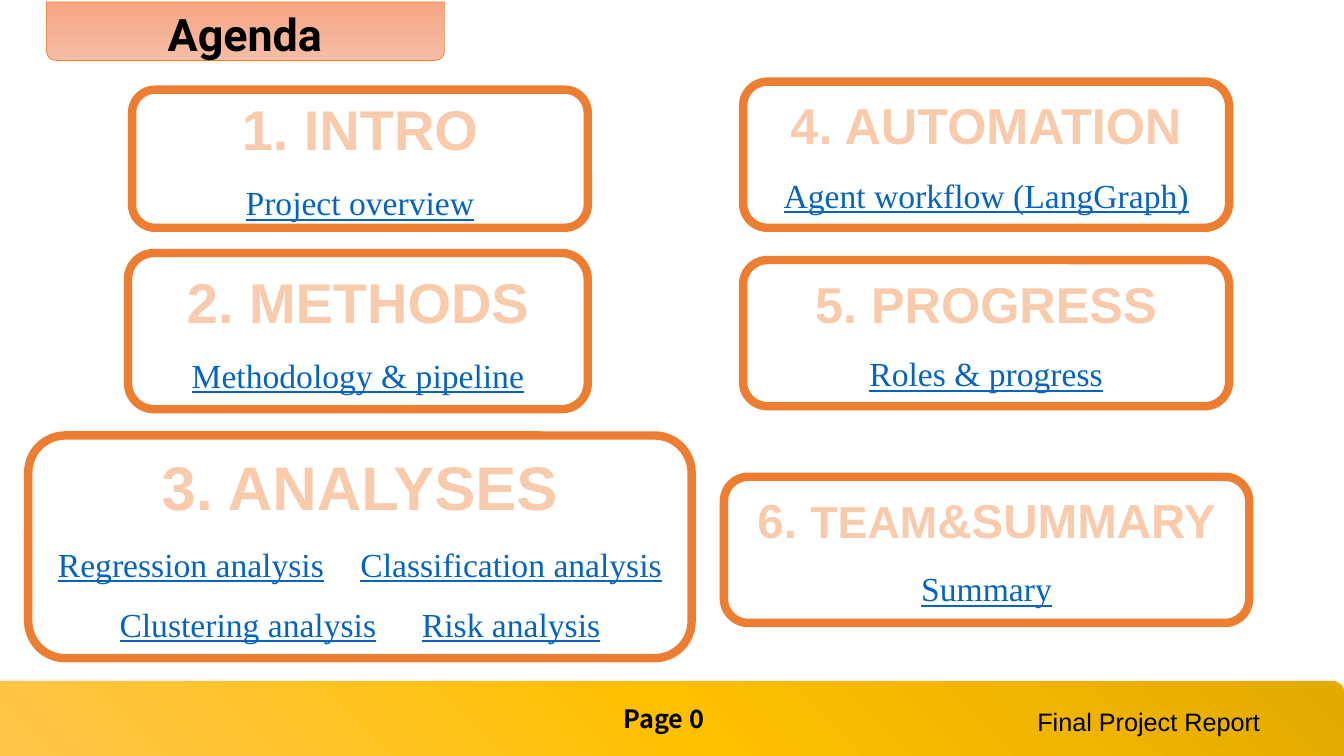
from copy import deepcopy

from lxml.etree import SubElement
from pptx import Presentation
from pptx.dml.color import RGBColor
from pptx.enum.shapes import MSO_SHAPE as SHAPE
from pptx.enum.text import MSO_ANCHOR as ANCHOR, MSO_AUTO_SIZE as AUTO, PP_ALIGN as ALIGN
from pptx.oxml import parse_xml
from pptx.oxml.ns import nsdecls, qn
from pptx.util import Pt

PX = 9144  # 100 px to the inch

THEME = {
    "black": RGBColor.from_string("000000"),
    "white": RGBColor.from_string("FFFFFF"),
    "orange": RGBColor.from_string("ED7D31"),
    "peach": RGBColor.from_string("F8CBAD"),
    "link": RGBColor.from_string("0563C1"),
    "footer": ("FFC64B", "FFC000", "E3AB00"),
    "tab": ("F7BDA5", "F5B196", "F8A582"),
    "title_size": 32,
    "footer_size": 18,
    "link_size": 24,
}


def fill_gradient(sp, colors, angle):
    """Fill with three evenly spaced stops; the angle runs counter-clockwise."""
    sp.fill.gradient()
    sp.fill.gradient_angle = angle
    stops = sp._element.spPr.find(".//" + qn("a:gsLst"))
    stops.append(deepcopy(stops[-1]))
    for i, (stop, color) in enumerate(zip(sp.fill.gradient_stops, colors)):
        stop.position = i / 2
        stop.color.rgb = RGBColor.from_string(color)


def style_run(r, font, size, color, bold=False):
    r.font.name = font
    r.font.size = Pt(size)
    r.font.color.rgb = color
    r.font.bold = bold


prs = Presentation()
prs.slide_width, prs.slide_height = 1333 * PX, 750 * PX
s = prs.slides.add_slide(prs.slide_layouts[6])

# Footer band and title tab
footer = s.shapes.add_shape(SHAPE.ROUND_1_RECTANGLE, 0, 676 * PX, 1333 * PX, 74 * PX)
fill_gradient(footer, THEME["footer"], 45)
footer.line.fill.background()
footer._element.spPr.append(parse_xml(
    f'<a:effectLst {nsdecls("a")}>'
    f'<a:outerShdw blurRad="{Pt(4.5)}" dist="{Pt(1.5)}" dir="5400000" algn="ctr" rotWithShape="0">'
    '<a:srgbClr val="000000"><a:alpha val="63000"/></a:srgbClr>'
    '</a:outerShdw></a:effectLst>'))

tab = s.shapes.add_shape(SHAPE.ROUND_2_SAME_RECTANGLE, 46 * PX, 2 * PX, 395 * PX, 58 * PX)
tab.rotation = 180
tab.shadow.inherit = False
fill_gradient(tab, THEME["tab"], 270)
tab.line.color.rgb = THEME["orange"]
tab.line.width = Pt(0.5)

labels = [
    ("Final Project Report", (1019, 696, 242, 40), "Arial", THEME["footer_size"], False, ALIGN.LEFT),
    ("Agenda", (70, 2, 346, 64), "Roboto", THEME["title_size"], True, ALIGN.CENTER),
    ("Page 0", (322, 693, 673, 40), "Noto Sans CJK SC", THEME["footer_size"], True, ALIGN.CENTER),
]
for text, box, font, size, bold, align in labels:
    tf = s.shapes.add_textbox(*(v * PX for v in box)).text_frame
    tf.word_wrap = True
    tf.auto_size = AUTO.SHAPE_TO_FIT_TEXT
    tf.text = text
    p = tf.paragraphs[0]
    p.alignment = align
    style_run(p.runs[0], font, size, THEME["black"], bold)

# Agenda cards: box, heading runs with sizes, rows of links
cards = [
    ((131, 89, 452, 137), [("1. INTRO", 40)], [["Project overview"]]),
    ((127, 251, 456, 155), [("2. METHODS", 40)], [["Methodology & pipeline"]]),
    ((28, 432, 658, 221), [("3. ANALYSES", 44)],
     [["Regression analysis", "Classification analysis"],
      ["Clustering analysis", "Risk analysis"]]),
    ((737, 81, 482, 145), [("4. AUTOMATION", 36)], [["Agent workflow (LangGraph)"]]),
    ((737, 258, 482, 145), [("5. PROGRESS", 36)], [["Roles & progress"]]),
    ((718, 473, 521, 145), [("6. ", 34), ("TEAM", 32), ("&SUMMARY", 34)], [["Summary"]]),
]
for box, heading, rows in cards:
    sp = s.shapes.add_shape(SHAPE.ROUNDED_RECTANGLE, *(v * PX for v in box))
    sp.shadow.inherit = False
    sp.fill.solid()
    sp.fill.fore_color.rgb = THEME["white"]
    sp.line.color.rgb = THEME["orange"]
    sp.line.width = Pt(6)
    tf = sp.text_frame
    tf.word_wrap = True
    tf.vertical_anchor = ANCHOR.MIDDLE

    p = tf.paragraphs[0]
    p.alignment = ALIGN.CENTER
    for text, size in heading:
        r = p.add_run()
        r.text = text
        style_run(r, "Arial", size, THEME["peach"], True)
        rPr = r.font._element
        outline = SubElement(rPr, qn("a:ln"), w=str(Pt(1.75)))
        fill = SubElement(outline, qn("a:solidFill"))
        SubElement(fill, qn("a:srgbClr"), val=str(THEME["orange"]))
        rPr.insert(0, outline)

    for links in rows:
        p = tf.add_paragraph()
        p.alignment = ALIGN.CENTER
        p.line_spacing = 1.5
        for i, link in enumerate(links):
            for text in (["\t"] if i else []) + [link]:
                r = p.add_run()
                r.text = text
                is_link = text == link
                style_run(r, "Times New Roman", THEME["link_size"],
                          THEME["link" if is_link else "black"])
                r.font.underline = is_link

prs.save("out.pptx")
